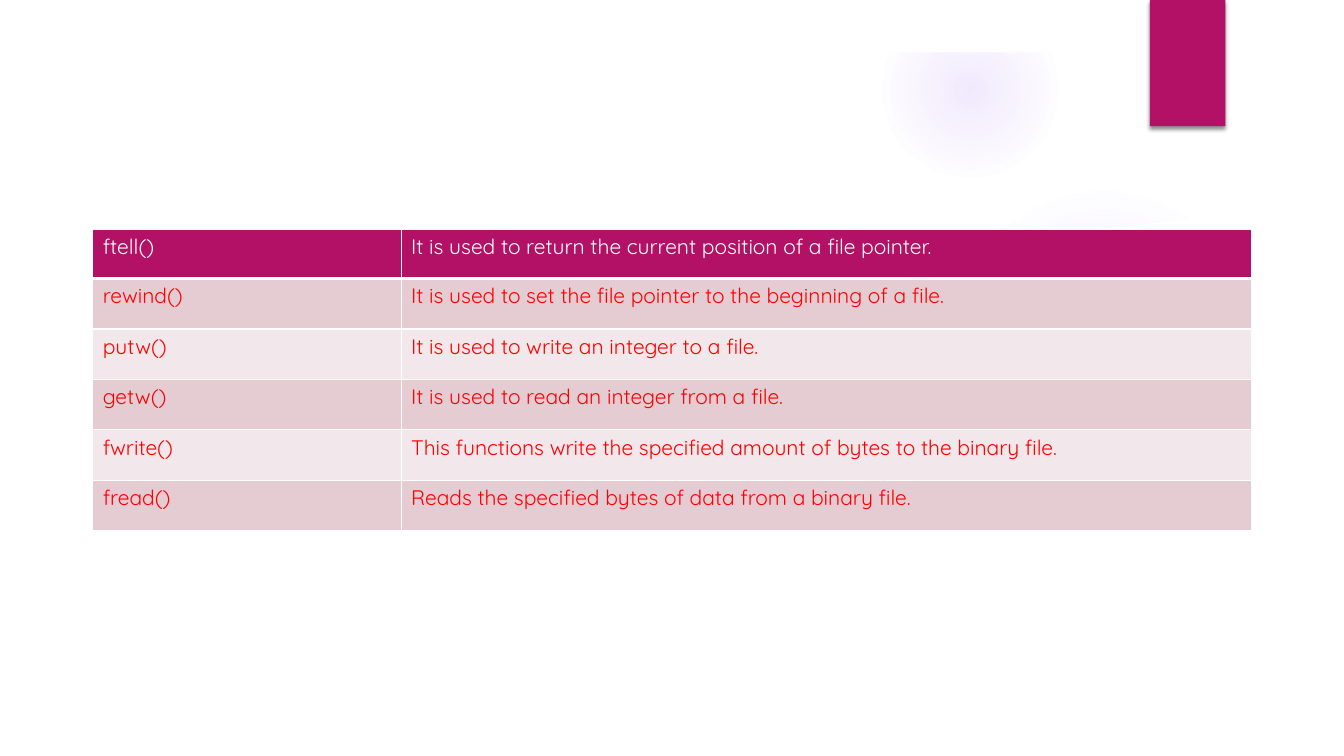
from dataclasses import dataclass

from pptx import Presentation
from pptx.dml.color import RGBColor
from pptx.enum.shapes import MSO_SHAPE as Preset
from pptx.oxml import parse_xml
from pptx.oxml.ns import nsdecls, qn
from pptx.util import Cm, Pt


@dataclass(frozen=True)
class Theme:
    font: str = "Quicksand"
    text_size: int = 15
    paper: str = "FFFFFF"
    accent: str = "B31166"
    glow: str = "9B6BF2"
    entry: str = "FF0000"
    bands: tuple = ("E5CCD3", "F2E7EA")
    rule: int = 1
    header_rule: int = 3


THEME = Theme()
SLIDE_WIDTH, SLIDE_HEIGHT = 33.87, 19.05

FUNCTIONS = [
    ("ftell()", "It is used to return the current position of a file pointer."),
    ("rewind()", "It is used to set the file pointer to the beginning of a file."),
    ("putw()", "It is used to write an integer to a file."),
    ("getw()", "It is used to read an integer from a file."),
    ("fwrite()", "This functions write the specified amount of bytes to the binary file."),
    ("fread()", "Reads the specified bytes of data from a binary file."),
]


def paint(shape, color):
    shape.shadow.inherit = False
    shape.fill.solid()
    shape.fill.fore_color.rgb = RGBColor.from_string(color)
    shape.line.fill.background()


def add_preset(slide, preset, box, color):
    shape = slide.shapes.add_shape(preset, *map(Cm, box))
    paint(shape, color)
    return shape


def add_glow(slide, box, stops):
    """Draw a round glow; stops are (position, opacity) in percent."""
    glow = add_preset(slide, Preset.OVAL, box, THEME.glow)
    stop_xml = "".join(
        f'<a:gs pos="{position * 1000}"><a:srgbClr val="{THEME.glow}">'
        f'<a:alpha val="{opacity * 1000}"/></a:srgbClr></a:gs>'
        for position, opacity in stops)
    gradient = parse_xml(
        f'<a:gradFill {nsdecls("a")} rotWithShape="1"><a:gsLst>{stop_xml}</a:gsLst>'
        '<a:path path="circle"><a:fillToRect l="50000" t="50000" r="50000" b="50000"/>'
        '</a:path></a:gradFill>')
    properties = glow.element.spPr
    properties.replace(properties.find(qn("a:solidFill")), gradient)


def add_sheet(slide, box, dip=1.12, steps=24):
    """Draw the white sheet, whose top edge sags as a parabola."""
    left, top, width, height = box
    edge = []
    for step in range(steps + 1):
        offset = 1 - 2 * step / steps
        edge.append((Cm(left + width * (1 + offset) / 2),
                     Cm(top + dip * (1 - offset ** 2))))
    outline = slide.shapes.build_freeform(Cm(left), Cm(top))
    outline.add_line_segments(
        [(Cm(left), Cm(top + height)), (Cm(left + width), Cm(top + height)), *edge])
    paint(outline.convert_to_shape(), THEME.paper)


def add_backdrop(slide, box):
    left, top, width, height = box
    # Glows
    add_glow(slide, (left + 23.9, top + 4.65, 7.82, 7.82), [(0, 7), (36, 6), (69, 0)])
    add_glow(slide, (left + 22.22, top + 0.03, 4.45, 4.45), [(0, 14), (36, 7), (73, 0)])
    # White sheet and frame, which crop the glows
    add_sheet(slide, (left + 1.27, top + 5.18, width - 2.54, 12.6))
    frame = add_preset(slide, Preset.FRAME, box, THEME.paper)
    frame.adjustments[0] = 1.32 / height


def add_corner_tab(slide, box):
    tab = add_preset(slide, Preset.RECTANGLE, box, THEME.accent)
    tab.element.spPr.find(qn("a:effectLst")).append(parse_xml(
        f'<a:outerShdw {nsdecls("a")} blurRad="{Pt(3)}" dist="{Pt(2)}" dir="5400000" '
        'rotWithShape="0"><a:srgbClr val="000000"><a:alpha val="45000"/></a:srgbClr>'
        '</a:outerShdw>'))


def rule_cell(cell, widths):
    """Set left, right, top and bottom borders, ahead of the cell's fill."""
    properties = cell._tc.get_or_add_tcPr()
    for index, (side, width) in enumerate(zip("LRTB", widths)):
        properties.insert(index, parse_xml(
            f'<a:ln{side} {nsdecls("a")} w="{Pt(width)}"><a:solidFill>'
            f'<a:srgbClr val="{THEME.paper}"/></a:solidFill></a:ln{side}>'))


def fill_cell(cell, text, fill, color):
    cell.margin_left = cell.margin_right = Cm(0.25)
    cell.margin_top = cell.margin_bottom = Cm(0.11)
    cell.fill.solid()
    cell.fill.fore_color.rgb = RGBColor.from_string(fill)
    run = cell.text_frame.paragraphs[0].add_run()
    run.text = text
    run.font.name = THEME.font
    run.font.size = Pt(THEME.text_size)
    run.font.bold = False
    run.font.color.rgb = RGBColor.from_string(color)


def add_function_table(slide, box, name_width=7.77, header_height=1.24):
    width, height = box[2:]
    table = slide.shapes.add_table(len(FUNCTIONS), 2, *map(Cm, box)).table
    table.columns[0].width = Cm(name_width)
    table.columns[1].width = Cm(width - name_width)
    entry_height = (height - header_height) / (len(FUNCTIONS) - 1)

    for index, function in enumerate(FUNCTIONS):
        header = index == 0
        table.rows[index].height = Cm(header_height if header else entry_height)
        fill = THEME.accent if header else THEME.bands[(index - 1) % 2]
        color = THEME.paper if header else THEME.entry
        above = THEME.header_rule if index == 1 else THEME.rule
        below = THEME.header_rule if header else THEME.rule
        for column, text in enumerate(function):
            cell = table.cell(index, column)
            fill_cell(cell, text, fill, color)
            rule_cell(cell, (THEME.rule, THEME.rule, above, below))


def main():
    deck = Presentation()
    deck.slide_width, deck.slide_height = Cm(SLIDE_WIDTH), Cm(SLIDE_HEIGHT)
    slide = deck.slides.add_slide(deck.slide_layouts[6])
    add_backdrop(slide, (0, 0, SLIDE_WIDTH, SLIDE_HEIGHT))
    add_corner_tab(slide, (28.98, 0, 1.9, 3.18))
    add_function_table(slide, (2.34, 5.78, 29.21, 7.59))
    deck.save("out.pptx")


if __name__ == "__main__":
    main()
